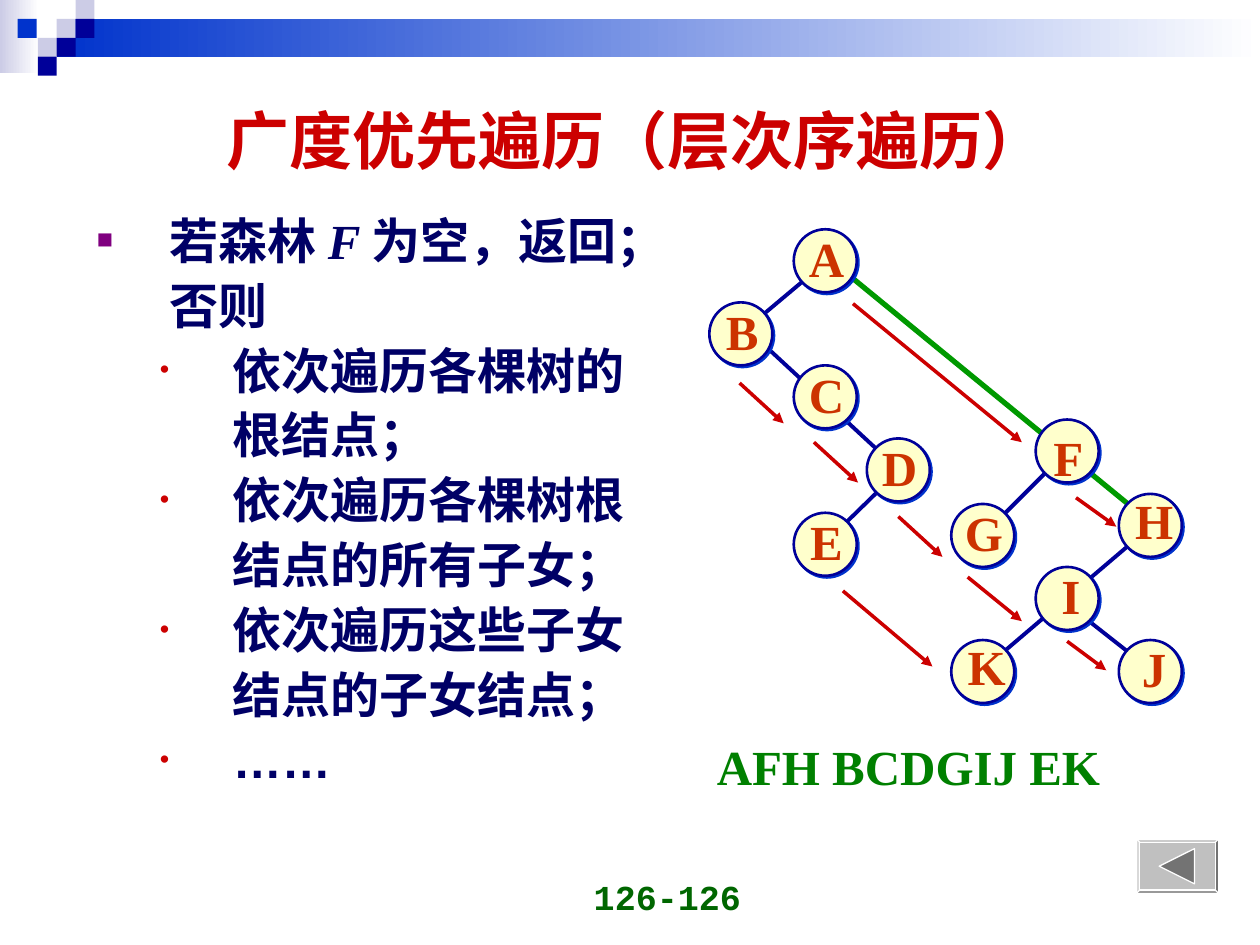
from lxml import etree
from pptx import Presentation
from pptx.dml.color import RGBColor
from pptx.enum import shapes, text
from pptx.oxml import ns
from pptx.util import Inches, Pt

WHITE = RGBColor(0xFF, 0xFF, 0xFF)
LAVENDER = RGBColor(0xCC, 0xCC, 0xE6)
BLUE = RGBColor(0x00, 0x33, 0xCC)
NAVY = RGBColor(0x00, 0x00, 0x99)
INK = RGBColor(0x00, 0x00, 0x66)
RED = RGBColor(0xCC, 0x00, 0x00)
ORANGE = RGBColor(0xCC, 0x33, 0x00)
PURPLE = RGBColor(0x80, 0x00, 0x80)
CREAM = RGBColor(0xFF, 0xFF, 0xCC)
EDGE_GREEN = RGBColor(0x00, 0x99, 0x00)
ORDER_GREEN = RGBColor(0x00, 0x80, 0x00)
PAGE_GREEN = RGBColor(0x00, 0x66, 0x00)
SILVER = RGBColor(0xC0, 0xC0, 0xC0)
GRAY = RGBColor(0x73, 0x73, 0x73)
SERIF = "Times New Roman"

CELL = 0.15
# Header squares: left, top, colour
SQUARES = [(0.45, 0.15, LAVENDER), (0.6, 0, LAVENDER), (0.6, 0.15, NAVY),
           (0.3, 0.3, LAVENDER), (0.14, 0.15, BLUE), (0.45, 0.3, NAVY),
           (0.3, 0.45, NAVY)]

# Body lines: level, has bullet, runs
LINES = [
    (0, True, ["若森林 ", "F ", "为空，返回；"]),
    (0, False, ["否则"]),
    (1, True, ["依次遍历各棵树的"]),
    (1, False, ["根结点；"]),
    (1, True, ["依次遍历各棵树根"]),
    (1, False, ["结点的所有子女；"]),
    (1, True, ["依次遍历这些子女"]),
    (1, False, ["结点的子女结点；"]),
    (1, True, ["……"]),
]
BULLETS = [("■", PURPLE, 0.58), ("•", RED, 1.08)]

# Tree geometry, relative to the left top corner of the tree
TREE = (5.63, 1.82)
NODE_SIZE = 0.5
# Letter: left, top, shift of the letter from the node centre
NODES = {
    "A": (0.67, 0, 0.01, -0.03), "B": (0, 0.58, 0.01, -0.03),
    "C": (0.67, 1.08, 0.01, -0.03), "D": (1.25, 1.66, 0.01, -0.03),
    "E": (0.67, 2.25, 0.01, -0.03), "F": (2.59, 1.51, 0.01, 0.04),
    "G": (1.92, 2.18, 0.01, -0.03), "H": (3.25, 2.1, 0.03, -0.05),
    "I": (2.59, 2.68, 0.03, -0.03), "J": (3.25, 3.26, 0.03, -0.03),
    "K": (1.92, 3.26, 0.03, -0.05),
}
GREEN_EDGES = [(1.09, 0.35, 3.42, 2.26)]
NAVY_EDGES = [(1.42, 2.0, 1.0, 2.41), (0.34, 0.83, 1.42, 1.83),
              (0.84, 0.33, 0.34, 0.75), (3.0, 3.1, 3.42, 3.43),
              (3.42, 2.43, 2.34, 3.35), (2.75, 1.85, 2.25, 2.35)]
ARROWS = [(2.05, 2.76, 2.48, 3.11), (0.24, 1.22, 0.59, 1.54),
          (0.83, 1.69, 1.18, 2.01), (1.5, 2.28, 1.85, 2.6),
          (1.14, 0.59, 2.48, 1.69), (2.91, 2.13, 3.23, 2.36),
          (1.06, 2.87, 1.77, 3.47), (2.84, 3.27, 3.15, 3.5)]


def add_preset(page, kind, box, colors, line=None, width=0):
    """One colour gives a solid fill, two give a gradient."""
    shape = page.shapes.add_shape(kind, *map(Inches, box))
    shape.shadow.inherit = False
    if len(colors) == 2:
        shape.fill.gradient()
        shape.fill.gradient_angle = 0
        for stop, color in zip(shape.fill.gradient_stops, colors):
            stop.color.rgb = color
    else:
        shape.fill.solid()
        shape.fill.fore_color.rgb = colors[0]
    if line is None:
        shape.line.fill.background()
    else:
        shape.line.color.rgb = line
        shape.line.width = Pt(width)
    return shape


def style(font, size, color, name):
    font.size, font.name, font.bold = Pt(size), name, True
    font.color.rgb = color


def add_label(page, box, words, size, color, name, align, anchor, wrap=True):
    label = page.shapes.add_textbox(*map(Inches, box))
    frame = label.text_frame
    frame.word_wrap = wrap
    frame.vertical_anchor = anchor
    frame.text = words
    para = frame.paragraphs[0]
    para.alignment = align
    style(para.runs[0].font, size, color, name)


def add_line(page, origin, ends, color, width, arrow=False):
    points = [Inches(origin[i % 2] + value) for i, value in enumerate(ends)]
    line = page.shapes.add_connector(shapes.MSO_CONNECTOR.STRAIGHT, *points)
    line.line.color.rgb = color
    line.line.width = Pt(width)
    props = line._element.spPr
    if arrow:
        tail = etree.SubElement(props.find(ns.qn("a:ln")), ns.qn("a:tailEnd"))
        tail.set("type", "triangle")
    etree.SubElement(props, ns.qn("a:effectLst"))


def add_bullet(para, level, shown):
    sign, color, margin = BULLETS[level]
    props = para._p.get_or_add_pPr()
    props.set("marL", str(Inches(margin)))
    props.set("indent", str(Inches(-0.58) if shown else 0))
    if not shown:
        etree.SubElement(props, ns.qn("a:buNone"))
        return
    tint = etree.SubElement(props, ns.qn("a:buClr"))
    etree.SubElement(tint, ns.qn("a:srgbClr")).set("val", str(color))
    etree.SubElement(props, ns.qn("a:buSzPct")).set("val", "55000")
    etree.SubElement(props, ns.qn("a:buFont")).set("typeface", "Arial")
    etree.SubElement(props, ns.qn("a:buChar")).set("char", sign)


def header(page):
    rectangle = shapes.MSO_SHAPE.RECTANGLE
    add_preset(page, rectangle, (0, 0, 0.31, 0.58), [LAVENDER, WHITE])
    add_preset(page, rectangle, (0.45, 0.15, 9.55, 0.3), [BLUE, WHITE])
    for left, top, color in SQUARES:
        add_preset(page, rectangle, (left, top, CELL, CELL), [color])


def body(page, box):
    frame = page.shapes.add_textbox(*map(Inches, box)).text_frame
    frame.word_wrap = True
    for index, (level, bulleted, pieces) in enumerate(LINES):
        para = frame.add_paragraph() if index else frame.paragraphs[0]
        para.level = level
        para.line_spacing = Pt(33.6)
        para.space_before = Pt(3.5 if index else 0)
        add_bullet(para, level, bulleted)
        for piece in pieces:
            span = para.add_run()
            span.text = piece
            style(span.font, 28, INK, "Arial" if piece == "……" else SERIF)
            span.font.italic = piece == "F "


def tree(page, origin):
    for edges, color, width in ((GREEN_EDGES, EDGE_GREEN, 3), (NAVY_EDGES, NAVY, 2.25)):
        for ends in edges:
            add_line(page, origin, ends, color, width)
    for letter, (dx, dy, shift_x, shift_y) in NODES.items():
        left, top = origin[0] + dx, origin[1] + dy
        node = add_preset(page, shapes.MSO_SHAPE.OVAL, (left, top, NODE_SIZE, NODE_SIZE),
                          [CREAM], NAVY, 1.5)
        # Hard blue shadow to the lower right
        effects = node._element.spPr.find(ns.qn("a:effectLst"))
        shadow = etree.SubElement(effects, ns.qn("a:outerShdw"),
                                  dist=str(Pt(1.4)), dir="2700000")
        etree.SubElement(shadow, ns.qn("a:srgbClr")).set("val", str(BLUE))
        add_label(page, (left + shift_x, top + shift_y - 0.03, NODE_SIZE, 0.57), letter,
                  28, ORANGE, SERIF, text.PP_ALIGN.CENTER, text.MSO_ANCHOR.MIDDLE, False)
    for ends in ARROWS:
        add_line(page, origin, ends, RED, 2, arrow=True)


def back_button(page, box):
    left, top, width, height = box
    frame = add_preset(page, shapes.MSO_SHAPE.BEVEL, box, [SILVER], WHITE)
    frame.adjustments[0] = 0.06
    middle = top + height / 2
    right = left + 0.46
    builder = page.shapes.build_freeform(Inches(left + 0.18), Inches(middle))
    builder.add_line_segments([(Inches(right), Inches(middle - 0.14)),
                               (Inches(right), Inches(middle + 0.14))])
    triangle = builder.convert_to_shape()
    triangle.shadow.inherit = False
    triangle.fill.solid()
    triangle.fill.fore_color.rgb = GRAY
    triangle.line.color.rgb = WHITE
    triangle.line.width = 0


def main():
    deck = Presentation()
    deck.slide_width, deck.slide_height = Inches(10), Inches(7.5)
    page = deck.slides.add_slide(deck.slide_layouts[6])
    align, anchor = text.PP_ALIGN, text.MSO_ANCHOR
    header(page)
    add_label(page, (3.65, 6.83, 2.33, 0.5), "126-126", 20, PAGE_GREEN,
              "Courier New", align.RIGHT, anchor.BOTTOM)
    add_label(page, (0.55, 0.64, 9, 0.93), "广度优先遍历（层次序遍历）", 36, RED,
              "Arial", align.CENTER, anchor.MIDDLE)
    add_label(page, (5.59, 5.8, 3.79, 0.57), "AFH BCDGIJ EK", 28, ORDER_GREEN,
              SERIF, align.LEFT, anchor.TOP)
    back_button(page, (9.02, 6.66, 0.65, 0.43))
    tree(page, TREE)
    body(page, (0.67, 1.62, 5.38, 5.04))
    deck.save("out.pptx")


if __name__ == "__main__":
    main()
